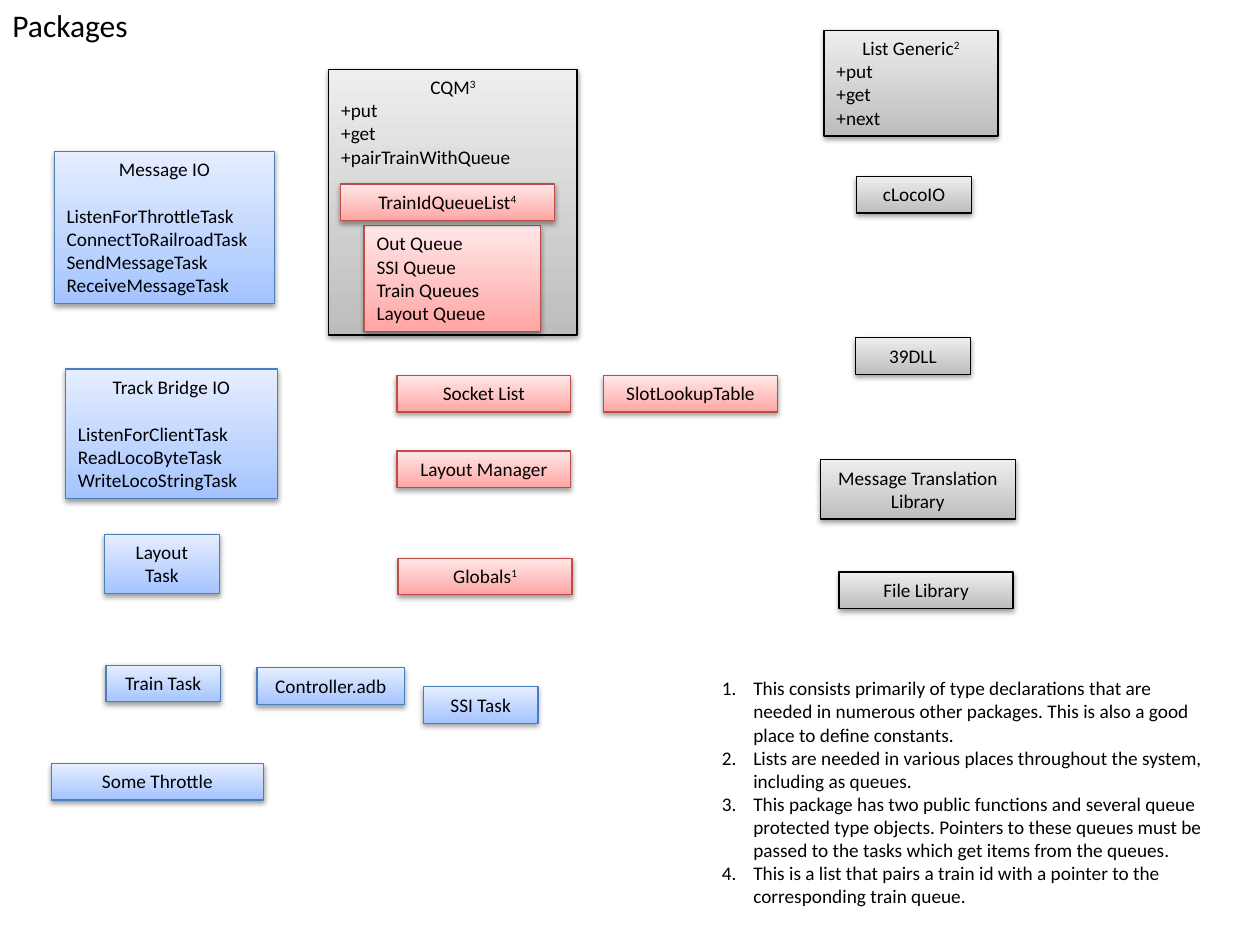
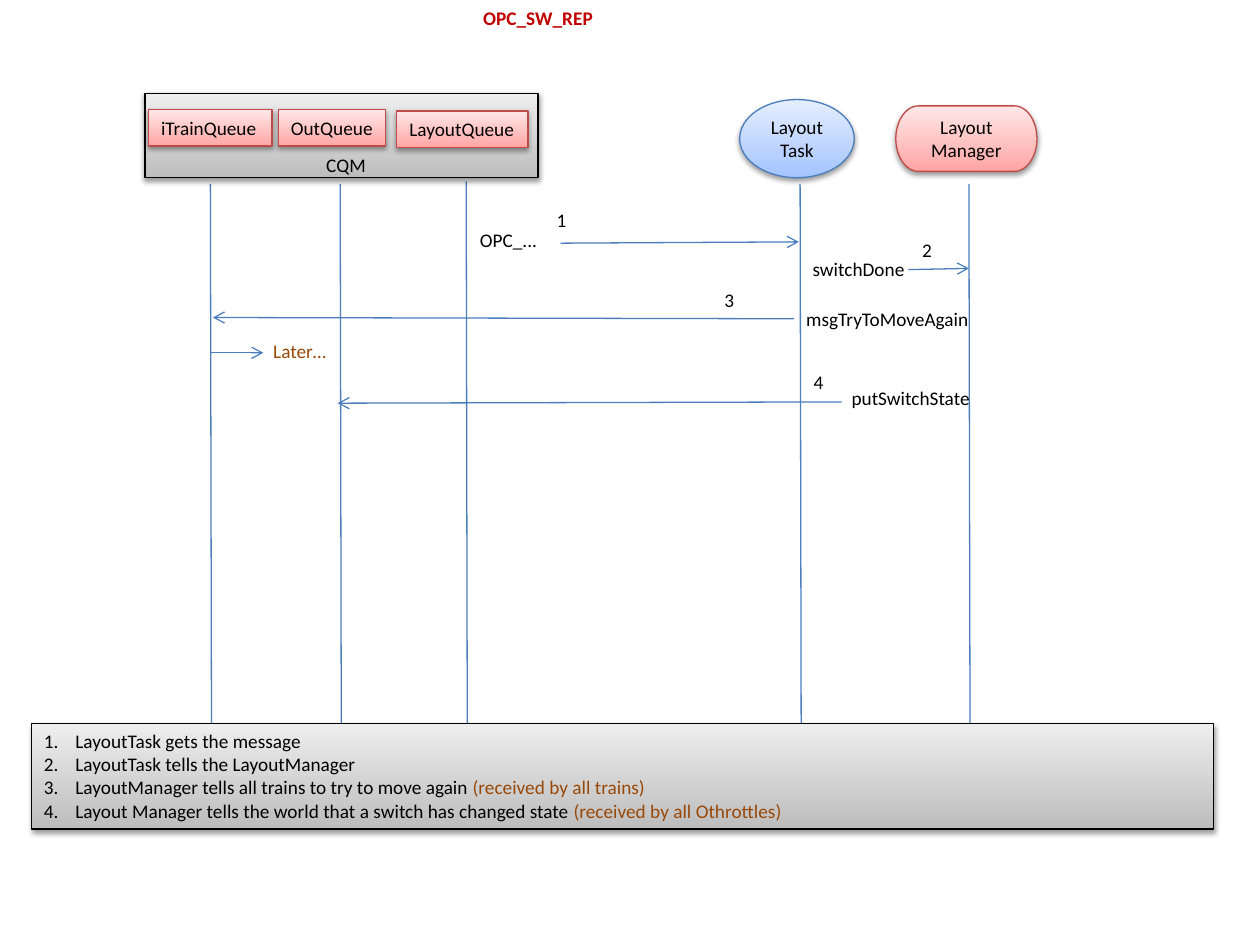
from lxml import etree
from pptx import Presentation
from pptx.dml.color import RGBColor
from pptx.enum import shapes, text
from pptx.oxml import ns
from pptx.util import Inches, Pt

BLACK = RGBColor(0x00, 0x00, 0x00)
BLUE = RGBColor(0x4B, 0x7E, 0xBC)
RED = RGBColor(0xBF, 0x4C, 0x48)
TITLE_RED = RGBColor(0xC0, 0x00, 0x00)
BROWN = RGBColor(0x98, 0x48, 0x07)
TASK = (BLUE, RGBColor(0xA4, 0xC4, 0xFF), RGBColor(0xE6, 0xEE, 0xFF))
DATA = (RED, RGBColor(0xFF, 0xA6, 0xA5), RGBColor(0xFF, 0xE7, 0xE7))
LIBRARY = (BLACK, RGBColor(0xBD, 0xBD, 0xBD), RGBColor(0xEE, 0xEE, 0xEE))
SHAPE = shapes.MSO_SHAPE
CENTER, LEFT = text.PP_ALIGN.CENTER, text.PP_ALIGN.LEFT
MIDDLE, TOP = text.MSO_ANCHOR.MIDDLE, text.MSO_ANCHOR.TOP
BODY = {"name": "Calibri", "size": Pt(11), "bold": False}


class Deck:
    """Draws package boxes, labels, numbered notes and lines on the current slide."""

    def __init__(self):
        self.prs = Presentation()
        self.prs.slide_width, self.prs.slide_height = Inches(10), Inches(7.5)
        self.s = None

    def slide(self):
        self.s = self.prs.slides.add_slide(self.prs.slide_layouts[6])

    def run(self, p, words, color=BLACK, raised=False, **fmt):
        r = p.add_run()
        r.text = words
        for name, value in {**BODY, **fmt}.items():
            setattr(r.font, name, value)
        r.font.color.rgb = color
        if raised:
            r._r.get_or_add_rPr().set("baseline", "30000")

    def paragraphs(self, tf, count):
        return [tf.paragraphs[0]] + [tf.add_paragraph() for _ in range(count - 1)]

    def box(self, at, style, heads=(), members=(), gap=0, wrap=True,
            kind=SHAPE.RECTANGLE, anchor=TOP):
        sp = self.s.shapes.add_shape(kind, *map(Inches, at))
        line, low, high = style
        sp.fill.gradient()
        sp.fill.gradient_angle = 90
        for stop, color in zip(sp.fill.gradient_stops, (low, high)):
            stop.color.rgb = color
        sp.line.color.rgb, sp.line.width = line, Pt(0.75)
        self.shadow(sp)
        tf = sp.text_frame
        tf.word_wrap, tf.vertical_anchor = wrap, anchor
        lines = [*heads, *members]
        for i, (p, words) in enumerate(zip(self.paragraphs(tf, len(lines)), lines)):
            p.alignment = CENTER if i < len(heads) else LEFT
            name, _, note = words.partition("^")
            self.run(p, name)
            if note:
                self.run(p, note, raised=True)
        if gap:
            tf.paragraphs[0].space_after = Pt(gap)
        return sp

    def shadow(self, sp):
        sp.shadow.inherit = False
        effects = sp._element.spPr.find(ns.qn("a:effectLst"))
        outer = etree.SubElement(effects, ns.qn("a:outerShdw"), blurRad=str(Pt(3.1)),
                                 dist=str(Pt(1.6)), dir="5400000", rotWithShape="0")
        color = etree.SubElement(outer, ns.qn("a:srgbClr"), val=str(BLACK))
        etree.SubElement(color, ns.qn("a:alpha"), val="38000")

    def label(self, at, words="", align=LEFT, wrap=True, **fmt):
        sp = self.s.shapes.add_textbox(*map(Inches, at))
        tf = sp.text_frame
        tf.word_wrap = wrap
        if words:
            p = tf.paragraphs[0]
            p.alignment = align
            self.run(p, words, **fmt)
        return sp

    def numbered(self, sp, notes):
        for p, note in zip(self.paragraphs(sp.text_frame, len(notes)), notes):
            p.alignment = LEFT
            pPr = p._p.get_or_add_pPr()
            pPr.set("marL", str(Inches(0.25)))
            pPr.set("indent", str(-Inches(0.25)))
            etree.SubElement(pPr, ns.qn("a:buFont"), typeface="+mj-lt")
            etree.SubElement(pPr, ns.qn("a:buAutoNum"), type="arabicPeriod")
            main, bracket, aside = note.partition("(")
            self.run(p, main)
            if bracket:
                self.run(p, bracket + aside, BROWN)

    def line(self, start, end, arrow=False):
        c = self.s.shapes.add_connector(shapes.MSO_CONNECTOR.STRAIGHT,
                                        *map(Inches, (*start, *end)))
        c.line.color.rgb, c.line.width = BLUE, Pt(0.75)
        if arrow:
            etree.SubElement(c.line._get_or_add_ln(), ns.qn("a:tailEnd"), type="arrow")
        etree.SubElement(c._element.spPr, ns.qn("a:effectLst"))


def packages(d):
    d.slide()
    d.label((0, 0, 1.13, 0.4), "Packages", wrap=False, size=Pt(18))
    d.box((0.43, 1.2, 1.75, 1.21), TASK, ["Message IO"],
          ["ListenForThrottleTask", "ConnectToRailroadTask", "SendMessageTask",
           "ReceiveMessageTask"], gap=13.4)
    d.box((0.52, 2.93, 1.68, 1.03), TASK, ["Track Bridge IO"],
          ["ListenForClientTask", "ReadLocoByteTask", "WriteLocoStringTask"], gap=13.4)
    d.box((6.54, 0.24, 1.38, 0.84), LIBRARY, ["List Generic^2"],
          ["+put", "+get", "+next"])
    d.box((2.61, 0.55, 1.97, 2.11), LIBRARY, ["CQM^3"],
          ["+put", "+get", "+pairTrainWithQueue"])
    d.box((2.89, 1.79, 1.4, 0.84), DATA, members=[
        "Out Queue", "SSI Queue", "Train Queues", "Layout Queue"])
    for name, style, x, y, w, h in (
            ("TrainIdQueueList^4", DATA, 2.7, 1.46, 1.7, 0.29),
            ("Socket List", DATA, 3.15, 2.98, 1.38, 0.29),
            ("SlotLookupTable", DATA, 4.79, 2.98, 1.38, 0.29),
            ("Layout Manager", DATA, 3.15, 3.58, 1.38, 0.29),
            ("Globals^1", DATA, 3.16, 4.43, 1.38, 0.29),
            ("Layout Task", TASK, 0.83, 4.24, 0.91, 0.47),
            ("Train Task", TASK, 0.84, 5.28, 0.91, 0.29),
            ("Controller.adb", TASK, 2.04, 5.3, 1.17, 0.29),
            ("SSI Task", TASK, 3.36, 5.45, 0.91, 0.29),
            ("Some Throttle", TASK, 0.41, 6.06, 1.68, 0.29),
            ("cLocoIO", LIBRARY, 6.8, 1.4, 0.91, 0.29),
            ("39DLL", LIBRARY, 6.79, 2.68, 0.91, 0.29),
            ("Message Translation Library", LIBRARY, 6.51, 3.65, 1.55, 0.47),
            ("File Library", LIBRARY, 6.66, 4.54, 1.38, 0.29)):
        d.box((x, y, w, h), style, [name])
    d.numbered(d.label((5.63, 5.32, 4.05, 1.95)), [
        "This consists primarily of type declarations that are needed in numerous "
        "other packages. This is also a good place to define constants.",
        "Lists are needed in various places throughout the system, including as queues.",
        "This package has two public functions and several queue protected type objects. "
        "Pointers to these queues must be passed to the tasks which get items from "
        "the queues.",
        "This is a list that pairs a train id with a pointer to the corresponding "
        "train queue."])


def switch_report(d):
    d.slide()
    d.label((2.51, 0, 3.52, 0.29), "OPC_SW_REP", CENTER, color=TITLE_RED, bold=True)
    for x, top in ((1.67, 1.46), (2.7, 1.46), (3.7, 1.44), (6.35, 1.46), (7.69, 1.46)):
        d.line((x, top), (x + 0.01, top + 5))
    d.box((1.15, 0.74, 3.12, 0.67), LIBRARY)
    d.label((2.49, 1.17, 0.52, 0.29), "CQM", wrap=False)
    for name, x, y, w in (("iTrainQueue", 1.18, 0.87, 0.98), ("OutQueue", 2.21, 0.87, 0.85),
                          ("LayoutQueue", 3.15, 0.88, 1.04)):
        d.box((x, y, w, 0.29), DATA, members=[name], wrap=False)
    d.box((5.87, 0.79, 0.91, 0.62), TASK, ["Layout", "Task"],
          kind=SHAPE.FLOWCHART_CONNECTOR, anchor=MIDDLE)
    d.box((7.11, 0.84, 1.12, 0.52), DATA, ["Layout", "Manager"],
          kind=SHAPE.FLOWCHART_TERMINATOR, anchor=MIDDLE)
    for start, end in (((4.45, 1.93), (6.34, 1.92)), ((7.21, 2.14), (7.69, 2.13)),
                       ((6.3, 2.53), (1.69, 2.52)), ((1.67, 2.8), (2.09, 2.8)),
                       ((6.68, 3.19), (2.68, 3.2))):
        d.line(start, end, arrow=True)
    for words, x, y, w in (("OPC_...", 3.71, 1.76, 0.66), ("switchDone", 6.35, 1.99, 1.05),
                           ("msgTryToMoveAgain", 6.3, 2.39, 1.55),
                           ("putSwitchState", 6.66, 3.02, 1.55),
                           ("1", 4.32, 1.6, 0.28), ("2", 7.22, 1.84, 0.28),
                           ("3", 5.65, 2.24, 0.28), ("4", 6.36, 2.89, 0.28)):
        d.label((x, y, w, 0.29), words)
    d.label((2.07, 2.64, 0.64, 0.29), "Later…", wrap=False, color=BROWN)
    d.numbered(d.box((0.25, 5.74, 9.38, 0.84), LIBRARY), [
        "LayoutTask gets the message",
        "LayoutTask tells the LayoutManager",
        "LayoutManager tells all trains to try to move again (received by all trains)",
        "Layout Manager tells the world that a switch has changed state "
        "(received by all Othrottles)"])


def main():
    d = Deck()
    packages(d)
    switch_report(d)
    d.prs.save("out.pptx")


if __name__ == "__main__":
    main()
